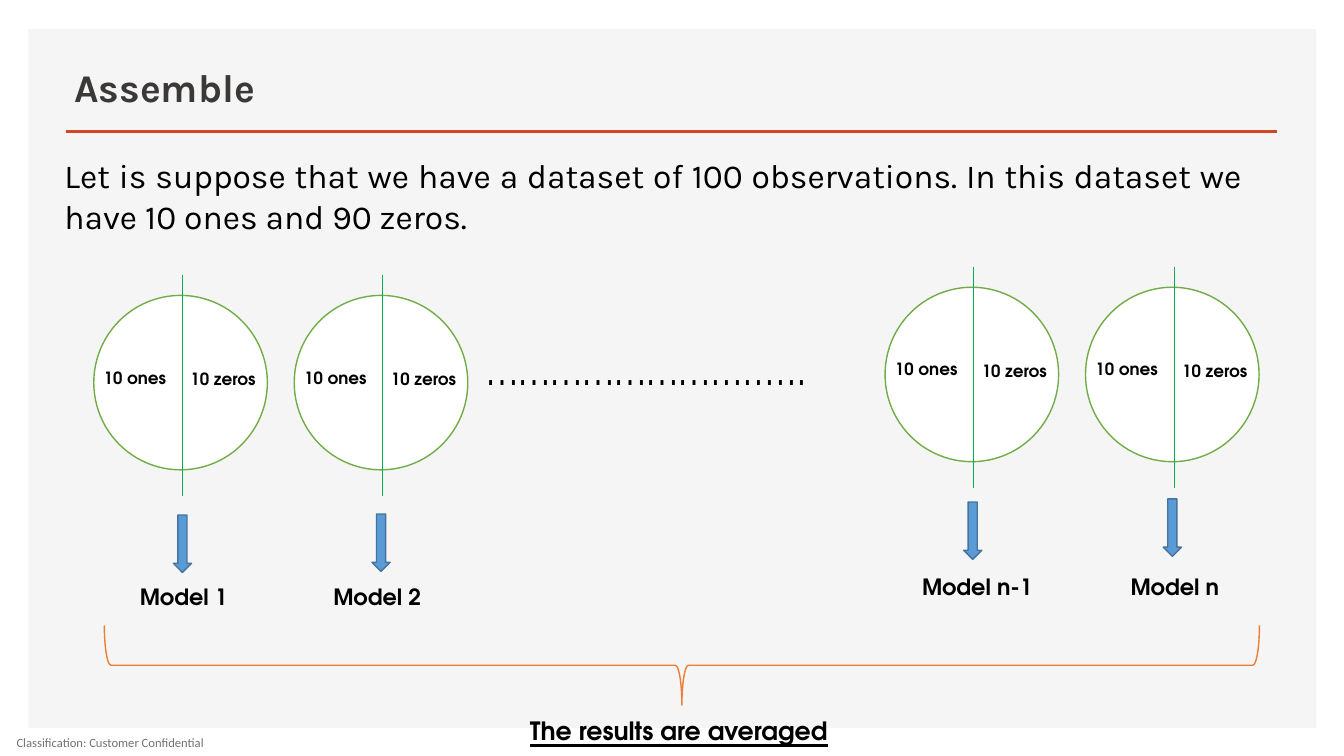
from pptx import Presentation
from pptx import util as u
from pptx.dml.color import RGBColor
from pptx.enum import shapes, text
from pptx.oxml.ns import qn

Pt = u.Pt
MSO = shapes.MSO_SHAPE
COLORS = {
    "panel": "F5F5F5", "rule": "D24726", "title": "3B3838", "text": "000000",
    "footer": "737373", "white": "FFFFFF", "circle": "70AD47", "divider": "00B050",
    "arrow": "5B9BD5", "arrow_line": "43739E", "brace": "ED7D31",
}
BODY, LABEL = "Karla", "TeX Gyre Adventor"


def rgb(name):
    return RGBColor.from_string(COLORS[name])


class Deck:
    def __init__(self, slide):
        self.s = slide

    def shape(self, kind, x, y, w, h, fill=None, line=None, parent=None):
        sp = (parent or self.s).shapes.add_shape(kind, Pt(x), Pt(y), Pt(w), Pt(h))
        sp.shadow.inherit = False
        if fill:
            sp.fill.solid()
            sp.fill.fore_color.rgb = rgb(fill)
        else:
            sp.fill.background()
        if line:
            sp.line.color.rgb = rgb(line)
            sp.line.width = Pt(1)
        else:
            sp.line.fill.background()
        return sp

    def line(self, x1, y1, x2, y2, color, width, parent=None):
        c = (parent or self.s).shapes.add_connector(
            shapes.MSO_CONNECTOR.STRAIGHT, Pt(x1), Pt(y1), Pt(x2), Pt(y2))
        c.line.color.rgb = rgb(color)
        c.line.width = Pt(width)
        c._element.spPr.get_or_add_ln().addnext(
            c._element.makeelement(qn("a:effectLst"), {}))

    def text(self, words, x, y, w, h, size, font=LABEL, color="text", bold=True,
             underline=None, align=None, anchor=text.MSO_ANCHOR.TOP, parent=None):
        sp = (parent or self.s).shapes.add_textbox(Pt(x), Pt(y), Pt(w), Pt(h))
        tf = sp.text_frame
        tf.word_wrap = True
        tf.vertical_anchor = anchor
        tf.text = words
        p = tf.paragraphs[0]
        p.alignment = align
        r = p.runs[0]
        r.font.name, r.font.size = font, Pt(size)
        r.font.bold, r.font.underline = bold, underline
        r.font.color.rgb = rgb(color)
        return tf

    def sample(self, x, y):
        g = self.s.shapes.add_group_shape()
        self.shape(MSO.OVAL, x, y, 124, 124.6, "white", "circle", g)
        self.text("10 ones", x, y + 47.8, 80, 21.6, 12, parent=g)
        self.text("10 zeros", x + 62, y + 48.6, 80, 21.6, 12, parent=g)
        self.line(x + 63.2, y - 14.4, x + 63.2, y + 143.3, "divider", 0.5, g)


prs = Presentation()
prs.slide_width, prs.slide_height = Pt(960), Pt(540)
d = Deck(prs.slides.add_slide(prs.slide_layouts[6]))

tf = d.text("Classification: Customer Confidential", 11.8, 520.6, 146, 19.4, 9,
            "Calibri", "footer", False, anchor=text.MSO_ANCHOR.MIDDLE)
tf.margin_left = tf.margin_right = tf.margin_top = tf.margin_bottom = 0
d.shape(MSO.RECTANGLE, 20.2, 20.9, 920, 499, "panel")
d.line(47.5, 94.1, 912.2, 94.1, "rule", 2)
d.text("Assemble", 46.1, 31.7, 681, 50.4, 28, BODY, "title",
       anchor=text.MSO_ANCHOR.BOTTOM)
d.text("Let is suppose that we have a dataset of 100 observations. "
       "In this dataset we have 10 ones and 90 zeros.",
       38.9, 107.3, 855.4, 65.5, 24, BODY, bold=False,
       align=text.PP_ALIGN.JUSTIFY)

MODELS = [
    ("Model 1", (67, 211), (123.8, 367.9), (92.9, 413.3)),
    ("Model 2", (210.2, 211), (265.7, 367.2), (231.1, 413.3)),
    ("Model n-1", (632.2, 205.2), (688.3, 358.6), (651.6, 406.1)),
    ("Model n", (775.4, 205.2), (830.9, 356.4), (800.6, 406.1)),
]
for name, circle, arrow, label in MODELS:
    d.sample(*circle)
    d.shape(MSO.DOWN_ARROW, *arrow, 13, 41, "arrow", "arrow_line")
    d.text(name, *label, 102, 26.6, 16)

d.text("…" * 7 + "." * 9, 340.6, 244.1, 283, 41, 28, bold=False)
d.text("The results are averaged", 371.5, 507.6, 252, 28.8, 18, underline=True)
brace = d.shape(MSO.RIGHT_BRACE, 458.6, 62.6, 56.9, 825.1, line="brace")
brace.rotation = 90

prs.save("out.pptx")
